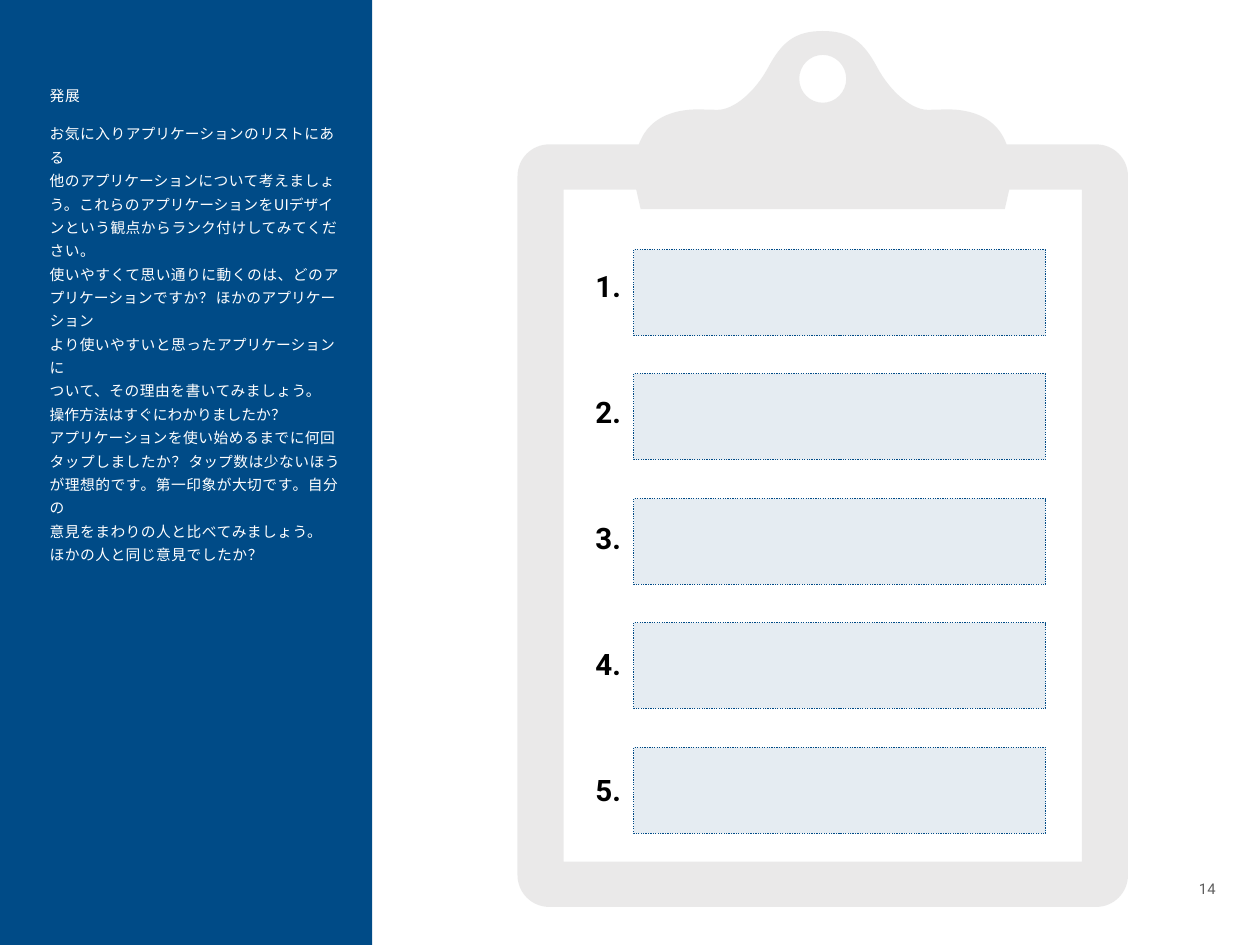
from lxml import etree
from pptx import Presentation
from pptx.dml.color import RGBColor
from pptx.enum.dml import MSO_LINE
from pptx.enum.shapes import MSO_SHAPE
from pptx.enum.text import MSO_ANCHOR, MSO_AUTO_SIZE, PP_ALIGN
from pptx.oxml.ns import qn
from pptx.util import Pt

PX = 9144  # EMU in one px, 100 px to the inch
WIDTH, HEIGHT = 1422, 1067

RECTANGLE = MSO_SHAPE.RECTANGLE
DOTTED = MSO_LINE.ROUND_DOT
TOP, MIDDLE = MSO_ANCHOR.TOP, MSO_ANCHOR.MIDDLE
LEFT, CENTER = PP_ALIGN.LEFT, PP_ALIGN.CENTER
NO_AUTOFIT = MSO_AUTO_SIZE.NONE

COLORS = {"blue": "004B87", "board": "D6D5D5", "white": "FFFFFF",
          "black": "000000", "gray": "5E5E5E"}
SANS, JAPANESE_SANS = "Roboto", "Noto Sans CJK JP"

HEADING = "発展"
# "|" separates spans whose letter spacing differs
QUESTIONS = [
    "お気に入り|アプリケーショ|ンの|リス|トにある",
    "他の|アプリケーショ|ンについて考えましょう。これらの|アプリケーショ|ンを|UIデザイ"
    "|ンという観点から|ラン|ク付けしてみてください。",
    "使いやすくて思い通りに動くのは、どの|アプリケーショ|ンですか|？|ほかの|アプリケーショ|ン",
    "より使いやすいと思った|アプリケーショ|ンに",
    "ついて、その理由を書いてみましょう。",
    "操作方法はすぐにわかりましたか|？",
    "アプリケーショ|ンを使い始めるまでに何回タップしましたか|？|タッ"
    "|プ数は少ないほうが理想的で|す|。第一印象が大切で|す|。自分の",
    "意見をまわりの人と比べてみましょう。",
    "ほかの人と同じ意見でしたか|？",
]
TRACKING = {HEADING: 0.6, "アプリケーショ": 0, "リス": 0, "UIデザイ": 0, "ラン": 0,
            "タッ": 0, "操作方法はすぐにわかりましたか": 0, "？": 1.8, "す": -1.2}
DEFAULT_TRACKING = 0.4

# Left halves of the clipboard outlines, from the axis back to the axis:
# a step has one point (line) or three (curve)
MIRROR_SUM = 1857
BOARD = [
    [(928.5, 35)],
    [(897, 35), (882, 48), (867, 76)],
    [(852, 104), (828, 124), (810, 124)],
    [(802, 124), (785, 123), (777, 124)],
    [(747, 127), (729, 141), (721, 163)],
    [(620, 163)],
    [(600, 163), (584, 179), (584, 199)],
    [(584, 988)],
    [(584, 1008), (600, 1024), (620, 1024)],
    [(928.5, 1024)],
]
HOLE = [
    [(928.5, 62)],
    [(914, 62), (902, 74), (902, 89)],
    [(902, 104), (914, 116), (928.5, 116)],
]
PAPER = [[(928.5, 236)], [(723, 236)], [(718, 214)], [(636, 214)],
         [(636, 973)], [(928.5, 973)]]


def color(name):
    return RGBColor.from_string(COLORS[name])


def add_span(para, text, font=SANS, size=12, tint="white", bold=False, tracking=0):
    span = para.add_run()
    span.text = text
    span.font.name = font
    span.font.size = Pt(size)
    span.font.bold = bold
    span.font.color.rgb = color(tint)
    properties = span.font._element
    properties.set("spc", str(round(tracking * 100)))
    if font == JAPANESE_SANS:
        etree.SubElement(properties, qn("a:ea")).set("typeface", font)


def set_frame(box, inset=0, anchor=TOP, wrap=True):
    frame = box.text_frame
    frame.auto_size = NO_AUTOFIT
    frame.word_wrap = wrap
    frame.vertical_anchor = anchor
    frame.margin_left = frame.margin_right = inset * PX
    frame.margin_top = frame.margin_bottom = inset * PX
    return frame


def write_paragraph(para, lines, space_before=0):
    properties = para._p.get_or_add_pPr()
    properties.set("marL", "0")
    properties.set("indent", "0")
    etree.SubElement(properties, qn("a:buNone"))
    para.alignment = LEFT
    para.line_spacing = Pt(19)
    para.space_before = Pt(space_before)
    for index, line in enumerate(lines):
        if index:
            para.add_line_break()
        for text in line.split("|"):
            add_span(para, text, font=JAPANESE_SANS,
                     tracking=TRACKING.get(text, DEFAULT_TRACKING))


def add_label(page, text, left, top, width, height, anchor=TOP, align=LEFT, **style):
    box = page.shapes.add_textbox(left * PX, top * PX, width * PX, height * PX)
    para = set_frame(box, inset=6, anchor=anchor, wrap=False).paragraphs[0]
    para.alignment = align
    add_span(para, text, **style)


def paint(shape, tint, opacity=100):
    shape.shadow.inherit = False
    shape.fill.solid()
    shape.fill.fore_color.rgb = color(tint)
    shape.line.fill.background()
    if opacity < 100:
        fill_color = shape._element.spPr.find(qn("a:solidFill"))[0]
        etree.SubElement(fill_color, qn("a:alpha")).set("val", str(opacity * 1000))


def add_rectangle(page, left, top, width, height, tint, opacity=100):
    shape = page.shapes.add_shape(
        RECTANGLE, left * PX, top * PX, width * PX, height * PX)
    paint(shape, tint, opacity)
    return shape


def mirror(half):
    """Return the points of the whole outline and the size of each step."""
    points = [point for step in half for point in step]
    points += [(MIRROR_SUM - x, y) for x, y in reversed(points[:-1])]
    sizes = [len(step) for step in half[1:]]
    return points, sizes + sizes[::-1]


def bend(shape, sizes):
    """Turn each run of three line segments into one curve."""
    segments = iter(list(shape._element.iter(qn("a:lnTo"))))
    for size in sizes:
        first = next(segments)
        if size == 3:
            first.tag = qn("a:cubicBezTo")
            for _ in range(2):
                segment = next(segments)
                first.append(segment[0])
                segment.getparent().remove(segment)


def add_clipboard(page):
    builder, all_sizes = None, []
    for half in (BOARD, HOLE, PAPER):
        points, sizes = mirror(half)
        all_sizes += sizes
        first, *rest = [(x * PX, y * PX) for x, y in points]
        if builder is None:
            builder = page.shapes.build_freeform(*first)
        else:
            builder.move_to(*first)
        builder.add_line_segments(rest, close=True)
    clipboard = builder.convert_to_shape()
    bend(clipboard, all_sizes)
    paint(clipboard, "board", opacity=50)


def add_sidebar(page):
    panel = add_rectangle(page, 0, 0, 420, HEIGHT, "blue")
    page.shapes._spTree.insert(2, panel._element)  # behind the text
    title = page.shapes.title._element
    title.getparent().remove(title)
    body = page.placeholders[1]
    body.left, body.top, body.width, body.height = 56 * PX, 92 * PX, 330 * PX, 395 * PX
    frame = set_frame(body)
    write_paragraph(frame.paragraphs[0], [HEADING])
    write_paragraph(frame.add_paragraph(), QUESTIONS, space_before=12)


def add_answer(page, index):
    add_label(page, f"{index + 1}.", 666, 298 + 569 * index // 4, 40, 50,
              anchor=MIDDLE, size=24, tint="black", bold=True)
    answer = add_rectangle(page, 715, 282 + 562 * index // 4, 465, 97, "blue", opacity=10)
    answer.line.color.rgb = color("blue")
    answer.line.width = Pt(1)
    answer.line.dash_style = DOTTED


def main():
    deck = Presentation()
    deck.slide_width, deck.slide_height = WIDTH * PX, HEIGHT * PX
    page = deck.slides.add_slide(deck.slide_layouts[1])
    add_sidebar(page)
    add_clipboard(page)
    for index in range(5):
        add_answer(page, index)
    add_label(page, "14", 1347, 987, 31, 30, align=CENTER, tint="gray")
    deck.save("out.pptx")


if __name__ == "__main__":
    main()
